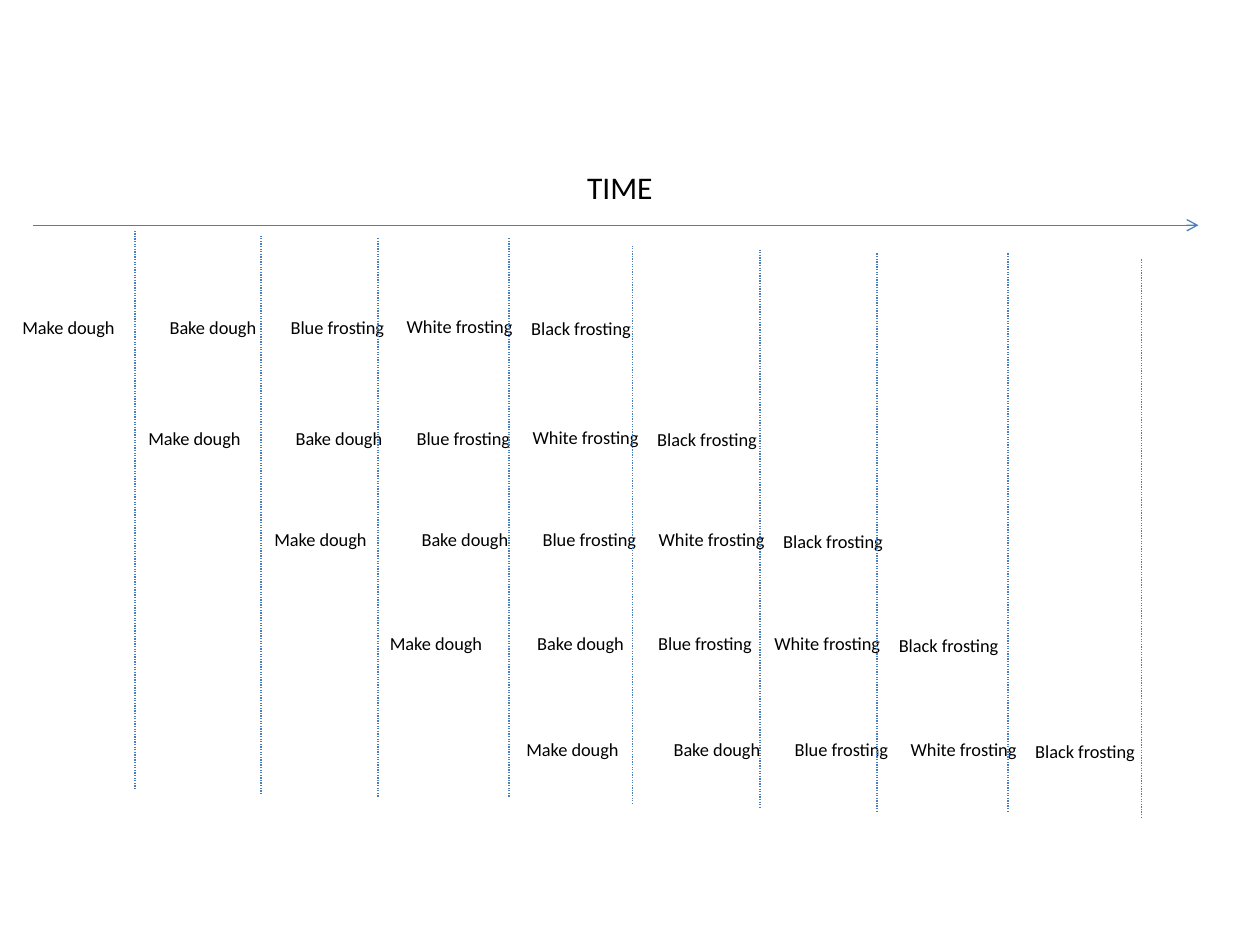
from pptx import Presentation
from pptx.dml.color import RGBColor
from pptx.enum.dml import MSO_LINE_DASH_STYLE as Dash
from pptx.enum.shapes import MSO_CONNECTOR as Connector
from pptx.enum.text import MSO_AUTO_SIZE as AutoSize
from pptx.oxml.ns import qn
from pptx.util import Cm, Pt
from lxml.etree import SubElement

BLACK, BLUE = "000000", "4B7EBC"

# Label, left within a batch, drop below the batch top, width (cm)
STEPS = [
    ("Make dough", 0, 0, 2.49),
    ("Bake dough", 2.97, 0, 2.39),
    ("Blue frosting", 5.41, 0, 2.51),
    ("White frosting", 7.75, -0.01, 2.79),
    ("Black frosting", 10.26, 0.03, 2.67),
]
# Left and top of each batch (cm)
BATCHES = [(0.2, 6.24), (2.74, 8.48), (5.28, 10.53), (7.61, 12.62), (10.36, 14.76)]
# Horizontal place and top of each divider (cm)
DIVIDERS = [
    (2.72, 4.65), (5.26, 4.75), (7.62, 4.8), (10.26, 4.8), (12.75, 4.95),
    (15.32, 5.03), (17.68, 5.11), (20.32, 5.11), (23.01, 5.23),
]
DIVIDER_HEIGHT = 11.28


def colour(hex_value):
    return RGBColor.from_string(hex_value)


def add_label(shapes, text, left, top, width, height, size):
    box = shapes.add_textbox(Cm(left), Cm(top), Cm(width), Cm(height))
    frame = box.text_frame
    frame.word_wrap = False
    frame.auto_size = AutoSize.SHAPE_TO_FIT_TEXT
    run = frame.paragraphs[0].add_run()
    run.text = text
    run.font.name = "Calibri"
    run.font.size = Pt(size)
    run.font.color.rgb = colour(BLACK)


def add_line(shapes, left, top, right, bottom):
    line = shapes.add_connector(
        Connector.STRAIGHT, Cm(left), Cm(top), Cm(right), Cm(bottom))
    line.line.color.rgb = colour(BLUE)
    line.line.width = Pt(0.75)
    SubElement(line._element.spPr, qn("a:effectLst"))
    return line


def add_time_axis(slide, left, top, width):
    """Draw the time arrow with its title above the middle."""
    axis = add_line(slide.shapes, left, top, left + width, top)
    SubElement(axis.line._get_or_add_ln(), qn("a:tailEnd"), type="arrow")
    title_width = 1.85
    add_label(slide.shapes, "TIME", left + (width - title_width) / 2 + 0.1,
              top - 1.27, title_width, 1.02, 18)


def add_batch(slide, left, top):
    """Add one cake's row of baking steps as a group."""
    shapes = slide.shapes.add_group_shape().shapes
    for text, offset, drop, width in STEPS:
        add_label(shapes, text, left + offset, top + drop, width, 0.74, 10.5)


def add_dividers(slide, height):
    shapes = slide.shapes.add_group_shape().shapes
    for left, top in DIVIDERS:
        divider = add_line(shapes, left, top, left, top + height)
        divider.line.dash_style = Dash.ROUND_DOT


def main():
    presentation = Presentation()
    presentation.slide_width = Cm(25.4)
    presentation.slide_height = Cm(19.05)
    slide = presentation.slides.add_slide(presentation.slide_layouts[6])
    add_time_axis(slide, 0.66, 4.54, 23.5)
    for left, top in BATCHES:
        add_batch(slide, left, top)
    add_dividers(slide, DIVIDER_HEIGHT)
    presentation.save("out.pptx")


if __name__ == "__main__":
    main()
